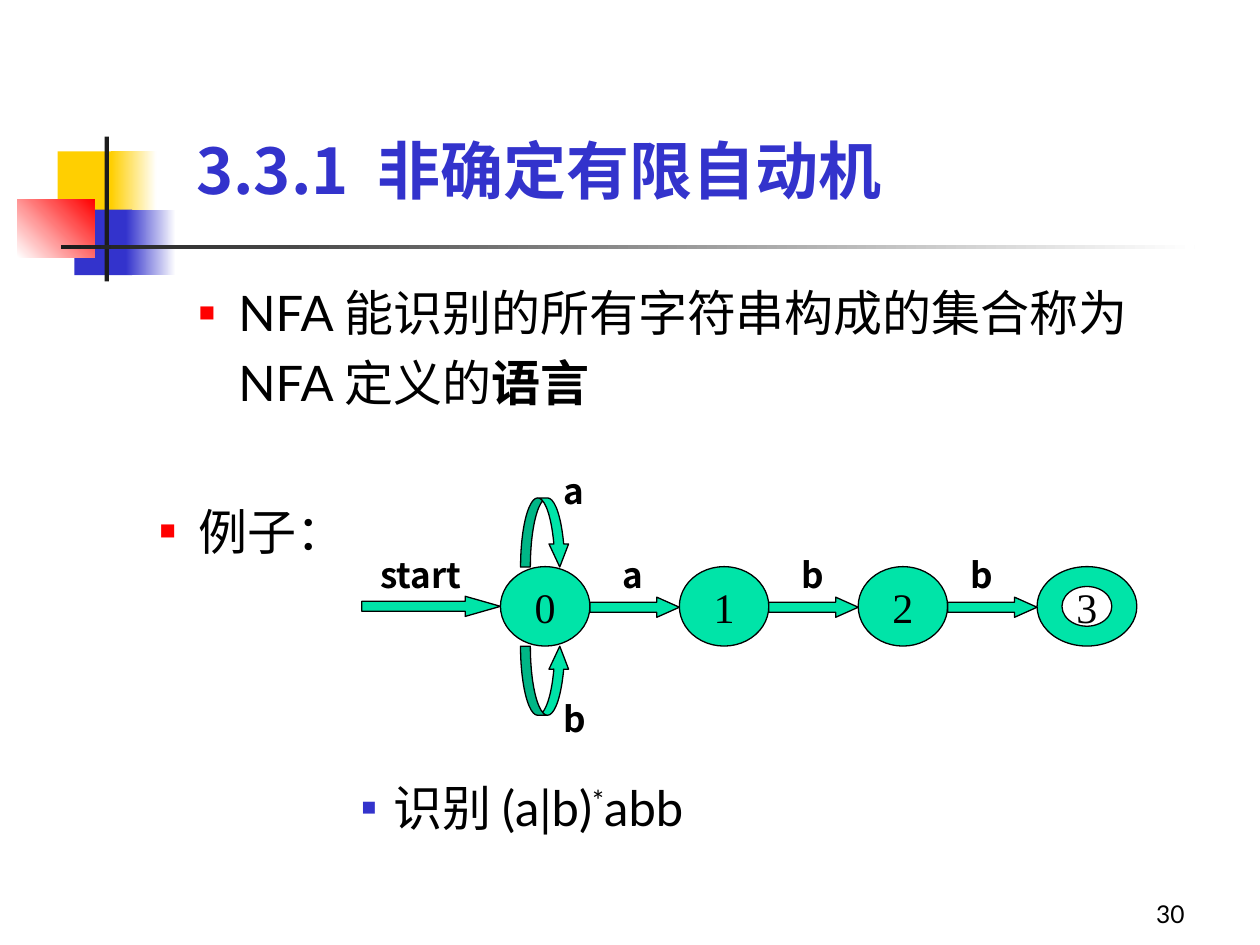
import lxml.etree
import pptx
import pptx.dml.color
import pptx.enum.shapes
import pptx.enum.text
import pptx.oxml.ns
import pptx.util

Pt = pptx.util.Pt
RGB = pptx.dml.color.RGBColor
SHAPE = pptx.enum.shapes.MSO_SHAPE
ALIGN = pptx.enum.text.PP_ALIGN
ANCHOR = pptx.enum.text.MSO_ANCHOR
AUTOSIZE = pptx.enum.text.MSO_AUTO_SIZE

YELLOW = RGB(0xFF, 0xCF, 0x01)
BLUE = RGB(0x33, 0x33, 0xCC)
RED = RGB(0xFF, 0x00, 0x00)
DARK = RGB(0x1C, 0x1C, 0x1C)
GREEN = RGB(0x00, 0xE4, 0xA8)
WHITE = RGB(0xFF, 0xFF, 0xFF)
BLACK = RGB(0x00, 0x00, 0x00)

LATO, CJK, SERIF = "Lato", "Noto Sans CJK SC", "Times New Roman"

NODE_LEFT, NODE_TOP, NODE_W, NODE_H = 286, 323.8, 51.1, 45.4
NODE_STEP = 2 * NODE_W
FINAL_W = 57


def set_attrs(obj, values):
    for name, value in values.items():
        setattr(obj, name, value)


def place(sp, box):
    set_attrs(sp, dict(zip(("left", "top", "width", "height"), map(Pt, box))))


def add_xml(parent, tag, **attrs):
    return lxml.etree.SubElement(parent, pptx.oxml.ns.qn(tag), attrs)


def add_run(p, text, size, font, color=BLACK, bold=False):
    r = p.add_run()
    r.text = text
    set_attrs(r.font, {"size": Pt(size), "name": font, "bold": bold})
    r.font.color.rgb = color
    add_xml(r._r.get_or_add_rPr(), "a:ea", typeface=SERIF if font == SERIF else CJK)
    return r


def add_shape(s, kind, box, fill, outlined=False, adjust=()):
    sp = s.shapes.add_shape(kind, *map(Pt, box))
    sp.shadow.inherit = False
    sp.fill.solid()
    sp.fill.fore_color.rgb = fill
    if outlined:
        sp.line.color.rgb = BLACK
        sp.line.width = Pt(0.75)
    else:
        sp.line.fill.background()
    for i, value in enumerate(adjust):
        sp.adjustments[i] = value
    return sp


def add_fade(s, box, start, end, angle=0):
    sp = add_shape(s, SHAPE.RECTANGLE, box, start)
    sp.fill.gradient()
    sp.fill.gradient_angle = angle
    for stop, color, position in zip(sp.fill.gradient_stops, (start, end), (0, 1)):
        stop.color.rgb = color
        stop.position = position


def add_node(s, box, text, fill=GREEN):
    sp = add_shape(s, SHAPE.OVAL, box, fill, True)
    tf = sp.text_frame
    set_attrs(tf, {"word_wrap": False, "vertical_anchor": ANCHOR.MIDDLE})
    p = tf.paragraphs[0]
    p.alignment = ALIGN.CENTER
    if text:
        add_run(p, text, 24, SERIF)


def add_label(s, box, text, size=20, font=CJK, bold=True, align=ALIGN.CENTER):
    tf = s.shapes.add_textbox(*map(Pt, box)).text_frame
    set_attrs(tf, {"word_wrap": True, "vertical_anchor": ANCHOR.BOTTOM})
    p = tf.paragraphs[0]
    p.alignment = align
    add_run(p, text, size, font, bold=bold)


def fill_title(sp, box, text):
    place(sp, box)
    tf = sp.text_frame
    set_attrs(tf, {"vertical_anchor": ANCHOR.BOTTOM, "auto_size": AUTOSIZE.NONE})
    p = tf.paragraphs[0]
    p.alignment = ALIGN.LEFT
    add_run(p, text, 36, CJK, BLUE, True)


def fill_list(sp, box, level, indent, hanging, bullet_color, bullet_size):
    place(sp, box)
    tf = sp.text_frame
    set_attrs(tf, {"vertical_anchor": ANCHOR.TOP, "word_wrap": True,
                   "auto_size": AUTOSIZE.NONE})
    p = tf.paragraphs[0]
    set_attrs(p, {"level": level, "alignment": ALIGN.LEFT,
                  "line_spacing": 1.2, "space_before": Pt(7)})
    pPr = p._p.get_or_add_pPr()
    pPr.set("marL", str(Pt(indent)))
    pPr.set("indent", str(-Pt(hanging)))
    add_xml(add_xml(pPr, "a:buClr"), "a:srgbClr", val=str(bullet_color))
    add_xml(pPr, "a:buSzPct", val=str(bullet_size * 1000))
    add_xml(pPr, "a:buChar", char="■")
    return p


def add_decoration(s):
    add_shape(s, SHAPE.RECTANGLE, (33, 86.5, 34.5, 37.5), YELLOW)
    add_fade(s, (63.5, 86.5, 26, 37.5), YELLOW, WHITE)
    add_shape(s, SHAPE.RECTANGLE, (42.5, 119.75, 33, 37.5), BLUE)
    add_fade(s, (72, 119.75, 28.5, 37.5), BLUE, WHITE)
    add_fade(s, (10, 113.75, 44, 33.25), WHITE, RED, 45)
    add_shape(s, SHAPE.RECTANGLE, (59.75, 78, 2.5, 82.75), DARK)
    add_fade(s, (34.75, 140, 648, 2.5), DARK, WHITE)


def add_lists(s):
    holders = s.placeholders
    first = {"level": 1, "indent": 58.5, "hanging": 22.5,
             "bullet_color": RED, "bullet_size": 55}
    second = {"level": 2, "indent": 90, "hanging": 18,
              "bullet_color": BLUE, "bullet_size": 50}
    p = fill_list(holders[1], (70.5, 151, 629.5, 96.5), **first)
    add_run(p, "NFA 能识别的所有字符串构成的集合称为 NFA 定义的", 28, LATO)
    add_run(p, "语言", 28, LATO, bold=True)
    p = fill_list(holders[2], (48, 276, 618, 51), **first)
    add_run(p, "例子：", 28, LATO)
    p = fill_list(holders[3], (127.5, 434, 527, 51), **second)
    add_run(p, "识别 (a|b)", 28, LATO)
    r = add_run(p, "*", 28, LATO)
    r._r.get_or_add_rPr().set("baseline", "30000")
    add_run(p, "abb", 28, LATO)
    unused = holders[4]._element
    unused.getparent().remove(unused)


def add_automaton(s):
    add_shape(s, SHAPE.RIGHT_ARROW, (206.75, 340.75, 79.25, 11.5), GREEN, True, (0.5, 1.75))
    for i in range(3):
        left = NODE_LEFT + i * NODE_STEP
        add_node(s, (left, NODE_TOP, NODE_W, NODE_H), str(i))
        add_shape(s, SHAPE.RIGHT_ARROW, (left + NODE_W, 341.25, NODE_W, 11.5),
                  GREEN, True, (0.5, 1.12))
    final_left = NODE_LEFT + 3 * NODE_STEP
    add_node(s, (final_left, NODE_TOP, FINAL_W, NODE_H), "")
    add_node(s, (final_left + FINAL_W / 4, NODE_TOP + NODE_H / 4, FINAL_W / 2, NODE_H / 2),
             "3", WHITE)
    for kind, top in ((SHAPE.CURVED_DOWN_ARROW, 284.5), (SHAPE.CURVED_UP_ARROW, 369.25)):
        add_shape(s, kind, (297.5, top, 28, 39.5), GREEN, True, (0.2, 0.4, 0.47))
    add_label(s, (201, 312.5, 79, 31.5), "start")
    for text, left, top in (("a", 348.5, 312.5), ("b", 450.75, 312.5), ("b", 547.25, 312.5),
                            ("a", 314.75, 264.25), ("b", 314.75, 394.5)):
        add_label(s, (left, top, 23, 31.5), text)


def main():
    prs = pptx.Presentation()
    set_attrs(prs, {"slide_width": Pt(720), "slide_height": Pt(540)})
    s = prs.slides.add_slide(prs.slide_layouts[4])
    add_decoration(s)
    fill_title(s.shapes.title, (105, 54.75, 537, 67), "3.3.1  非确定有限自动机")
    add_lists(s)
    add_automaton(s)
    add_label(s, (534, 498, 150, 36), "30", 14, LATO, False, ALIGN.RIGHT)
    prs.save("out.pptx")


if __name__ == "__main__":
    main()
